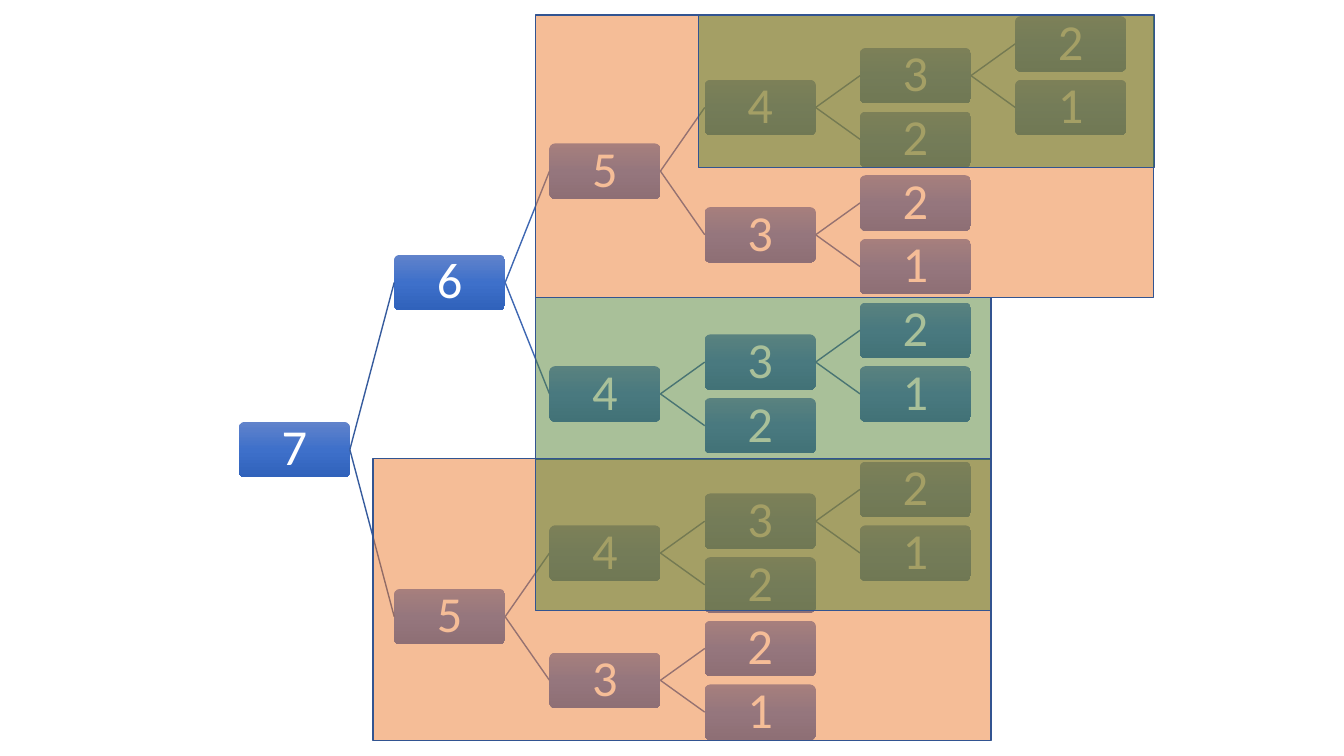
from copy import deepcopy

from lxml.etree import SubElement
from pptx import Presentation
from pptx.dml.color import RGBColor
from pptx.enum.shapes import MSO_CONNECTOR, MSO_SHAPE
from pptx.enum.text import MSO_ANCHOR, PP_ALIGN
from pptx.oxml.ns import qn
from pptx.util import Inches, Pt

WHITE = RGBColor(0xFF, 0xFF, 0xFF)
NODE_SHADES = (
    (0, RGBColor(0x61, 0x83, 0xCB)),
    (0.5, RGBColor(0x3E, 0x70, 0xCA)),
    (1, RGBColor(0x30, 0x62, 0xBB)),
)
ROOT_BRANCH = RGBColor(0x36, 0x5B, 0x9D)
BRANCH = RGBColor(0x3E, 0x67, 0xB2)
ORANGE = RGBColor(0xED, 0x7D, 0x31)
GREEN = RGBColor(0x54, 0x82, 0x35)
REGION_EDGE = RGBColor(0x32, 0x54, 0x91)

NODE_WIDTH, NODE_HEIGHT = 1.1, 0.55
COLUMN_STEP = 1.54
ROW_SPAN = 10.5  # rows from the first leaf to the last

TREE_BOX = (2.37, 0.16, 8.8, 7.18)
REPEATED_SUBTREES = (
    (ORANGE, (3.7, 4.55, 6.13, 2.8)),
    (ORANGE, (5.31, 0.15, 6.13, 2.8)),
    (GREEN, (5.31, 2.95, 4.52, 1.61)),
    (GREEN, (6.93, 0.15, 4.52, 1.51)),
    (GREEN, (5.31, 4.55, 4.52, 1.51)),
)


def write_text(shape, text, size=36, color=WHITE, font="Calibri", margin=0.03):
    frame = shape.text_frame
    frame.word_wrap = True
    frame.vertical_anchor = MSO_ANCHOR.MIDDLE
    frame.margin_left = frame.margin_right = Inches(margin)
    frame.margin_top = frame.margin_bottom = Inches(margin)
    paragraph = frame.paragraphs[0]
    paragraph.alignment = PP_ALIGN.CENTER
    paragraph.line_spacing = 0.9
    run = paragraph.add_run()
    run.text = text
    run.font.size = Pt(size)
    run.font.name = font
    run.font.color.rgb = color


def shade_node(node):
    """Fill a node with the three-stop gradient, from top to bottom."""
    node.fill.gradient()
    node.fill.gradient_angle = 270
    stop_list = node._element.spPr.find(".//" + qn("a:gsLst"))
    stop_list.append(deepcopy(stop_list[0]))
    for stop, (position, color) in zip(node.fill.gradient_stops, NODE_SHADES):
        stop.position = position
        stop.color.rgb = color


def add_node(slide, value, left, top):
    node = slide.shapes.add_shape(
        MSO_SHAPE.ROUNDED_RECTANGLE, Inches(left), Inches(top),
        Inches(NODE_WIDTH), Inches(NODE_HEIGHT))
    node.adjustments[0] = 0.1
    node.shadow.inherit = False
    node.line.fill.background()
    shade_node(node)
    write_text(node, str(value))
    return node


def add_branch(slide, parent, child, color):
    branch = slide.shapes.add_connector(MSO_CONNECTOR.STRAIGHT, 0, 0, 0, 0)
    branch.begin_connect(parent, 3)
    branch.end_connect(child, 1)
    branch.line.color.rgb = color
    branch.line.width = Pt(1)
    SubElement(branch._element.spPr, qn("a:effectLst"))


def draw_call_tree(slide, value, box):
    """Draw the calls of Fibonacci(value): each n above 2 calls n-1 and n-2."""
    left, top, _, height = box
    row_step = (height - NODE_HEIGHT) / ROW_SPAN

    def draw_call(n, depth, row):
        """Draw a call; return its node, its row and the row of its last leaf."""
        children = []
        node_row = last_leaf = row
        if n > 2:
            first, first_row, last_leaf = draw_call(n - 1, depth + 1, row)
            # A leaf goes right below its sibling, a subtree below all leaves.
            next_row = (last_leaf if n - 2 > 2 else first_row) + 1
            second, second_row, last_leaf = draw_call(n - 2, depth + 1, next_row)
            children = [first, second]
            node_row = (first_row + second_row) / 2
        node = add_node(slide, n, left + depth * COLUMN_STEP,
                        top + node_row * row_step)
        for child in children:
            add_branch(slide, node, child, BRANCH if depth else ROOT_BRANCH)
        return node, node_row, last_leaf

    draw_call(value, 0, 0)


def draw_region(slide, color, box):
    """Cover a repeated subtree with a half-transparent rectangle."""
    region = slide.shapes.add_shape(
        MSO_SHAPE.RECTANGLE, *(Inches(length) for length in box))
    region.shadow.inherit = False
    region.fill.solid()
    region.fill.fore_color.rgb = color
    tint = region._element.spPr.find(".//" + qn("a:srgbClr"))
    SubElement(tint, qn("a:alpha"), val="50000")
    region.line.color.rgb = REGION_EDGE
    region.line.width = Pt(1)


def main():
    presentation = Presentation()
    presentation.slide_width = Inches(13.33)
    presentation.slide_height = Inches(7.5)
    slide = presentation.slides.add_slide(presentation.slide_layouts[6])
    draw_call_tree(slide, 7, TREE_BOX)
    for color, box in REPEATED_SUBTREES:
        draw_region(slide, color, box)
    presentation.save("out.pptx")


if __name__ == "__main__":
    main()
